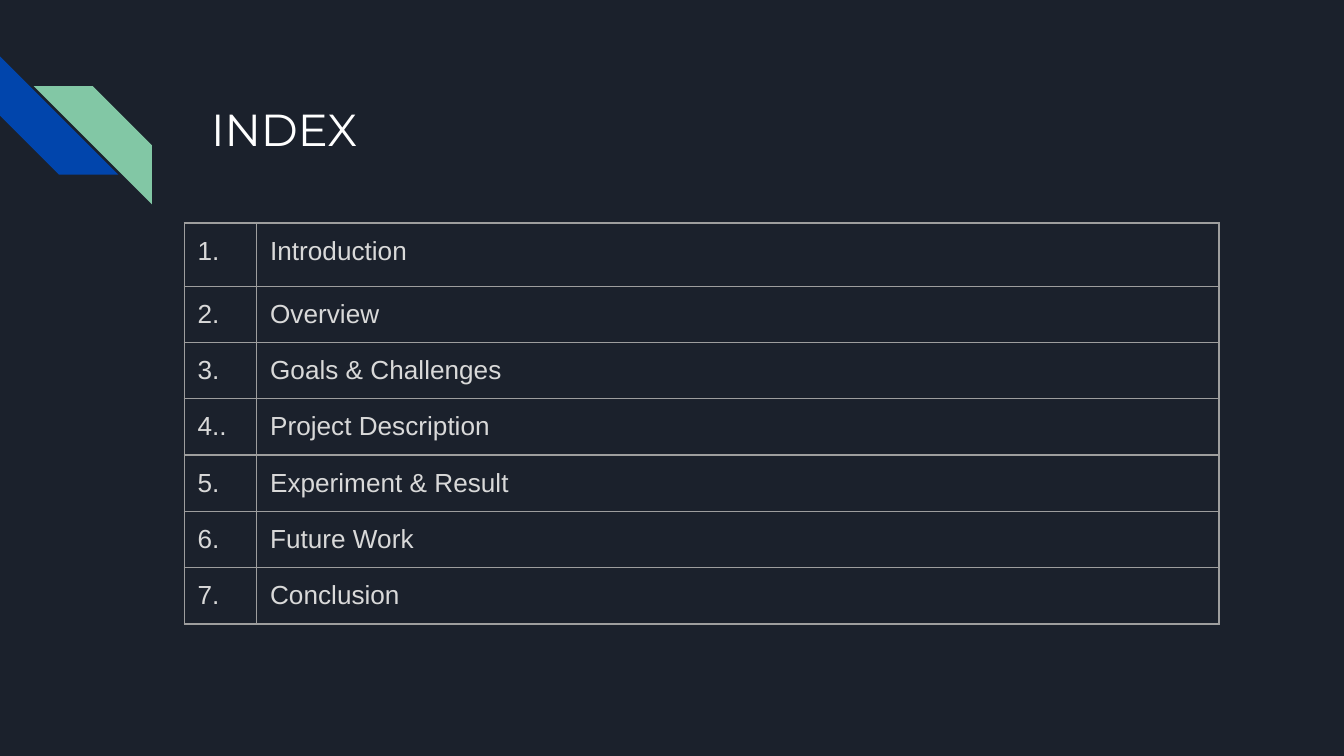
from lxml import etree
from pptx import Presentation
from pptx import util as u
from pptx.dml.color import RGBColor
from pptx.enum import shapes, text
from pptx.oxml.ns import qn

BACKGROUND = "1B212C"
BLUE = "0145AC"
GREEN = "82C7A5"
BORDER = "9E9E9E"
ENTRIES = [
    ("1.", "Introduction"),
    ("2.", "Overview"),
    ("3.", "Goals & Challenges"),
    ("4..", "Project Description"),
    ("5.", "Experiment & Result"),
    ("6.", "Future Work"),
    ("7.", "Conclusion"),
]


def color(value):
    return RGBColor.from_string(value)


def write_text(frame, content, *, size, font, fill):
    frame.word_wrap = True
    paragraph = frame.paragraphs[0]
    paragraph.alignment = text.PP_ALIGN.LEFT
    run = paragraph.add_run()
    run.text = content
    run.font.size = u.Pt(size)
    run.font.name = font
    run.font.color.rgb = color(fill)


def set_margins(target):
    """Give a text frame or table cell equal insets on all sides."""
    for side in ("left", "right", "top", "bottom"):
        setattr(target, f"margin_{side}", u.Inches(0.1))


def add_stripe(slide, left, top, rotation, fill):
    size = u.Inches(0.88)
    stripe = slide.shapes.add_shape(
        shapes.MSO_SHAPE.DIAGONAL_STRIPE, u.Inches(left), u.Inches(top), size, size)
    stripe.adjustments[0] = 0.5
    stripe.rotation = rotation
    stripe.shadow.inherit = False
    stripe.fill.solid()
    stripe.fill.fore_color.rgb = color(fill)
    stripe.line.fill.background()


def format_title(title):
    title.left, title.top = u.Inches(1.47), u.Inches(0.66)
    title.width, title.height = u.Inches(7.7), u.Inches(1)
    frame = title.text_frame
    set_margins(frame)
    frame.vertical_anchor = text.MSO_ANCHOR.TOP
    write_text(frame, "INDEX", size=24, font="Montserrat", fill="FFFFFF")


def set_borders(cell):
    properties = cell._tc.get_or_add_tcPr()
    for edge in ("a:lnL", "a:lnR", "a:lnT", "a:lnB"):
        line = etree.SubElement(properties, qn(edge), w=str(u.Pt(0.75)))
        solid = etree.SubElement(line, qn("a:solidFill"))
        etree.SubElement(solid, qn("a:srgbClr"), val=BORDER)


def add_index_table(slide):
    widths = (0.54, 7.16)
    heights = [0.47] + [0.41] * (len(ENTRIES) - 1)
    table = slide.shapes.add_table(
        len(ENTRIES), len(widths), u.Inches(1.37), u.Inches(1.66),
        u.Inches(sum(widths)), u.Inches(sum(heights))).table
    table.first_row = table.horz_banding = False
    for column, width in zip(table.columns, widths):
        column.width = u.Inches(width)
    for row, height, entry in zip(table.rows, heights, ENTRIES):
        row.height = u.Inches(height)
        for cell, content in zip(row.cells, entry):
            set_margins(cell)
            set_borders(cell)
            cell.fill.background()
            write_text(cell.text_frame, content, size=14, font="Arial", fill="D9D9D9")


def main():
    presentation = Presentation()
    presentation.slide_width = u.Inches(10)
    presentation.slide_height = u.Inches(10 * 9 / 16)
    slide = presentation.slides.add_slide(presentation.slide_layouts[5])
    slide.background.fill.solid()
    slide.background.fill.fore_color.rgb = color(BACKGROUND)
    add_stripe(slide, 0, 0.42, 270, BLUE)
    add_stripe(slide, 0.25, 0.64, 90, GREEN)
    format_title(slide.shapes.title)
    add_index_table(slide)
    presentation.save("out.pptx")


if __name__ == "__main__":
    main()
